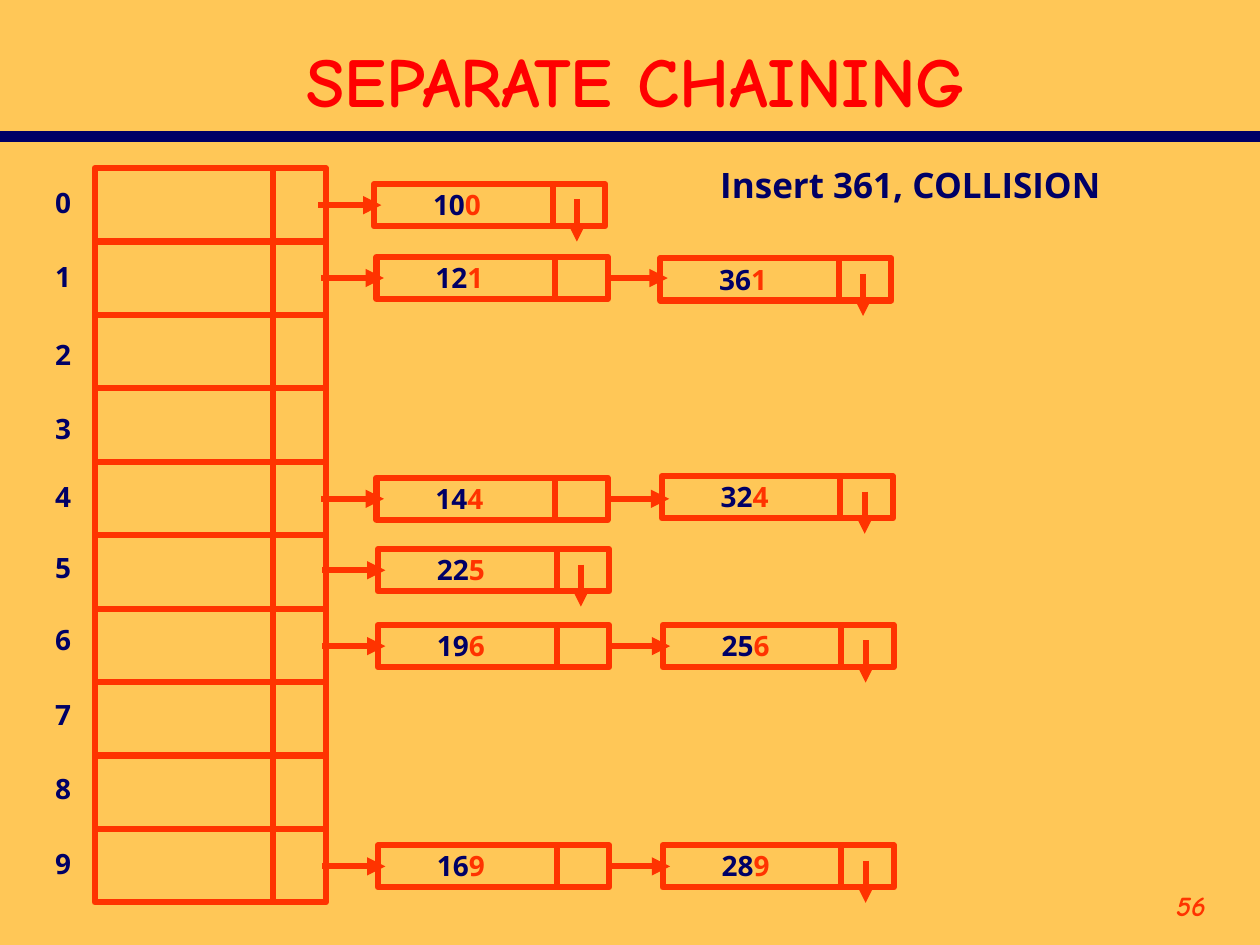
from lxml import etree
from pptx import Presentation
from pptx.dml.color import RGBColor
from pptx.enum.shapes import MSO_CONNECTOR, MSO_SHAPE
from pptx.enum.text import MSO_ANCHOR, MSO_AUTO_SIZE, PP_ALIGN
from pptx.oxml.ns import qn
from pptx.util import Cm, Pt

STRAIGHT = MSO_CONNECTOR.STRAIGHT
RECTANGLE = MSO_SHAPE.RECTANGLE
MIDDLE = MSO_ANCHOR.MIDDLE
GROW = MSO_AUTO_SIZE.SHAPE_TO_FIT_TEXT
NO_GROW = MSO_AUTO_SIZE.NONE
LEFT, CENTER, RIGHT = PP_ALIGN.LEFT, PP_ALIGN.CENTER, PP_ALIGN.RIGHT
RIGHT_SIDE = 3

COLORS = {
    "background": "FFC757",
    "navy": "000066",
    "orange": "FF3300",
    "title": "FF0000",
}
HEADING_FONT = "Comic Neue"
BODY_FONT = "Open Sans"

CELL_WIDTH = 4.66
LINK_OFFSET = 3.6
BUCKET_LEFT, BUCKET_TOP, BUCKET_HEIGHT = 1.91, 3.39, 1.48
NODE_HEIGHT = 0.85
INDEX_TOPS = [3.61, 5.11, 6.68, 8.18, 9.55, 10.97, 12.42, 13.94, 15.42, 16.94]

CHAINS = [
    [("100", 7.54, 3.71)],
    [("121", 7.59, 5.18), ("361", 13.31, 5.21)],
    [("144", 7.59, 9.63), ("324", 13.34, 9.6)],
    [("169", 7.62, 17.04), ("289", 13.36, 17.04)],
    [("196", 7.62, 12.6), ("256", 13.36, 12.6)],
    [("225", 7.62, 11.07)],
]


def color(name):
    return RGBColor.from_string(COLORS[name])


class HashTableSlide:
    stroke = 3.5

    def __init__(self, slide):
        self.slide = slide
        fill = slide.background.fill
        fill.solid()
        fill.fore_color.rgb = color("background")

    def line(self, x1, y1, x2, y2, stroke_color="orange", stroke=stroke):
        connector = self.slide.shapes.add_connector(
            STRAIGHT, Cm(x1), Cm(y1), Cm(x2), Cm(y2))
        connector.line.color.rgb = color(stroke_color)
        connector.line.width = Pt(stroke)
        etree.SubElement(connector._element.spPr, qn("a:effectLst"))
        return connector

    def arrow(self, x1, y1, x2, y2):
        connector = self.line(x1, y1, x2, y2)
        outline = connector.line._get_or_add_ln()
        etree.SubElement(outline, qn("a:tailEnd"), type="triangle")
        return connector

    def cell(self, left, top, height):
        frame = self.slide.shapes.add_shape(
            RECTANGLE, Cm(left), Cm(top), Cm(CELL_WIDTH), Cm(height))
        frame.shadow.inherit = False
        frame.fill.background()
        frame.line.color.rgb = color("orange")
        frame.line.width = Pt(self.stroke)
        divider = left + LINK_OFFSET
        self.line(divider, top, divider, top + height)
        return frame

    def text(self, runs, left, top, width, height, size, font=BODY_FONT,
             align=LEFT, wrap=False, italic=False):
        box = self.slide.shapes.add_textbox(
            Cm(left), Cm(top), Cm(width), Cm(height))
        frame = box.text_frame
        frame.word_wrap = wrap
        frame.auto_size = NO_GROW if wrap else GROW
        paragraph = frame.paragraphs[0]
        paragraph.alignment = align
        for wording, run_color in runs:
            run = paragraph.add_run()
            run.text = wording
            run.font.name = font
            run.font.size = Pt(size)
            run.font.bold = True
            run.font.italic = italic
            run.font.color.rgb = color(run_color)
        return frame

    def node(self, key, left, top, previous=None):
        frame = self.cell(left, top, NODE_HEIGHT)
        middle = top + NODE_HEIGHT / 2
        if previous is not None:
            middle = (previous.top + previous.height / 2) / Cm(1)
        pointer = self.arrow(left - 1.12, middle, left + 0.15, middle)
        if previous is not None:
            pointer.begin_connect(previous, RIGHT_SIDE)
        self.text([(key[:-1], "navy"), (key[-1], "orange")],
                  left + 0.94, top - 0.05, 1.47, 0.94, 16)
        return frame

    def chain(self, nodes):
        previous = None
        for key, left, top in nodes:
            previous = self.node(key, left, top, previous)
        if key != "169":
            end = left + 4.09
            self.arrow(end, top + 0.31, end, top + 1.16)


def main():
    deck = Presentation()
    deck.slide_width, deck.slide_height = Cm(25.4), Cm(19.05)
    page = HashTableSlide(deck.slides.add_slide(deck.slide_layouts[6]))

    page.line(0, 2.75, 25.4, 2.75, "navy", 6)
    page.text([("56", "orange")], 22.02, 17.78, 2.54, 1.27, 16,
              HEADING_FONT, RIGHT, wrap=True, italic=True)
    title = page.text([("SEPARATE CHAINING", "title")], 1.07, 0.64, 23.5, 1.91,
                      40, HEADING_FONT, CENTER, wrap=True)
    title.vertical_anchor = MIDDLE

    for index, index_top in enumerate(INDEX_TOPS):
        page.cell(BUCKET_LEFT, BUCKET_TOP + index * BUCKET_HEIGHT, BUCKET_HEIGHT)
        page.text([(str(index), "navy")], 0.86, index_top, 0.81, 0.94, 16)

    page.text([("Insert 361, COLLISION", "navy")], 14.27, 3.18, 8.31, 1.12, 20)

    for nodes in CHAINS:
        page.chain(nodes)

    deck.save("out.pptx")


if __name__ == "__main__":
    main()
